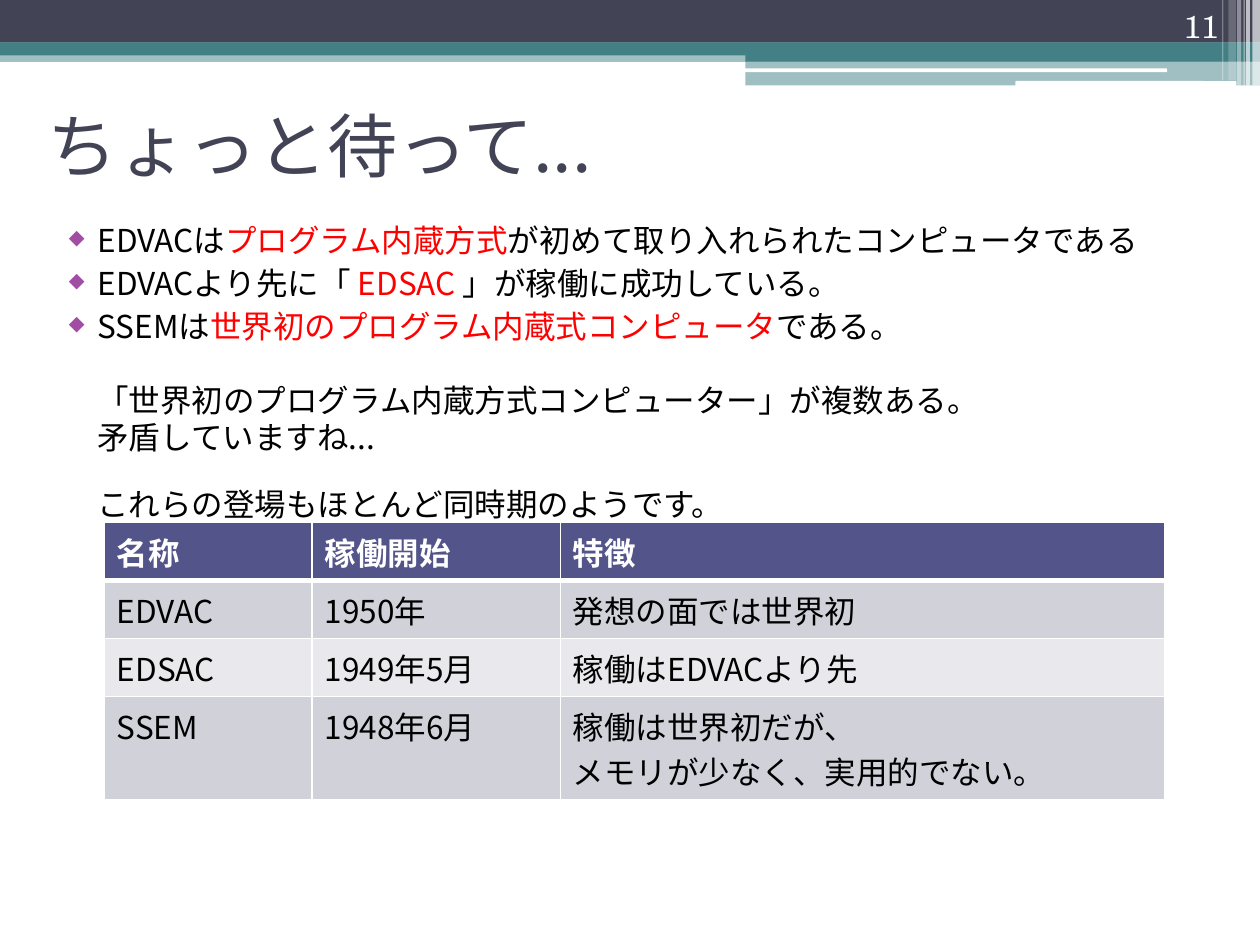
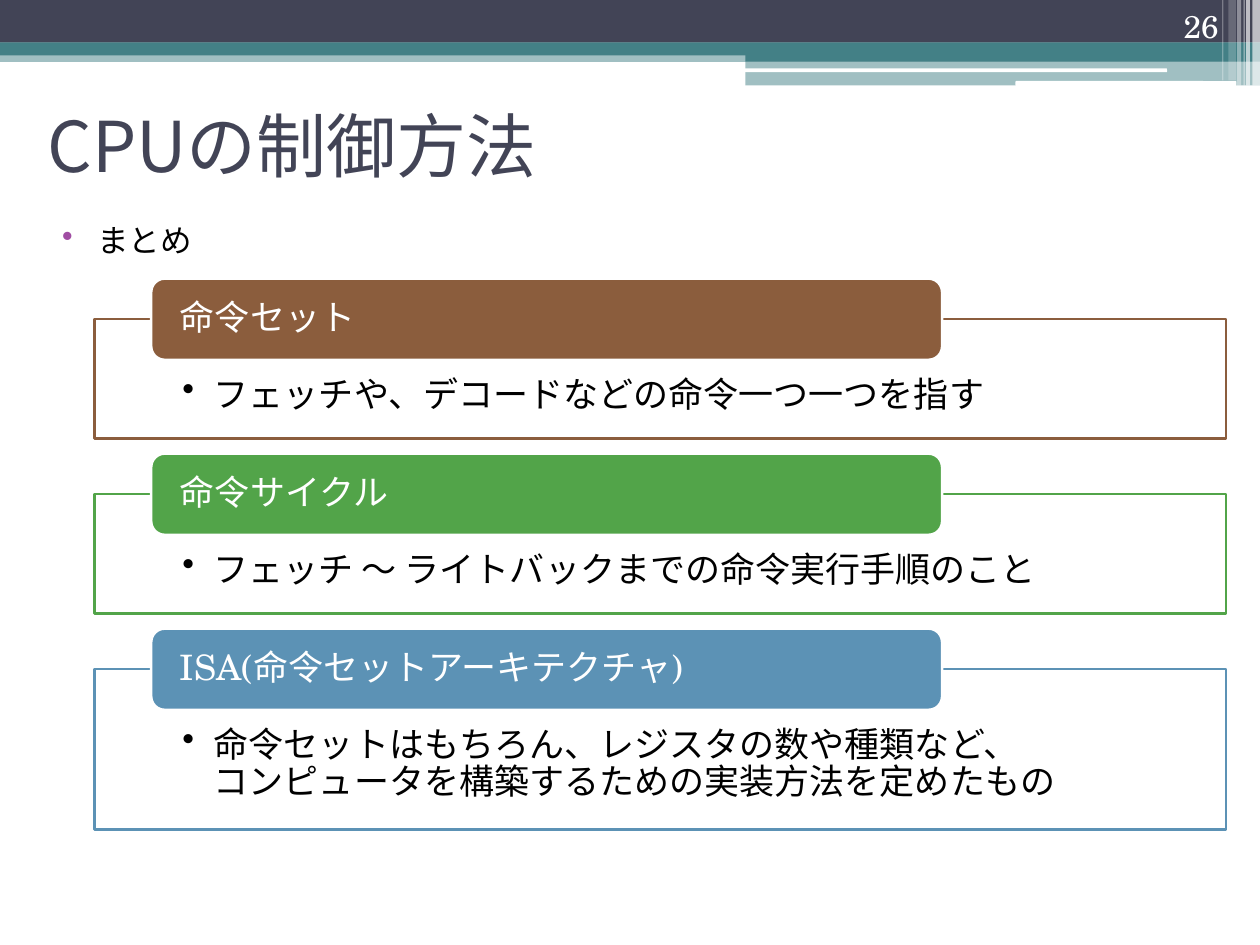
from lxml.etree import SubElement as Sub
from pptx import Presentation
from pptx.dml.color import RGBColor as Rgb
from pptx.enum.shapes import MSO_SHAPE as Form
from pptx.enum.text import MSO_ANCHOR as Anchor, PP_ALIGN as Align
from pptx.oxml.ns import qn
from pptx.util import Pt

HEX = {
    "ink": "000000", "paper": "FFFFFF", "navy": "424456", "teal": "438086",
    "red": "FF0000", "mark": "A04DA3", "head": "53548A", "dark": "D1D1DA",
    "light": "E9E9ED", "brown": "8B5D3D", "green": "52A449", "blue": "5C92B5",
}
SANS, SERIF = "Noto Sans CJK JP", "TeX Gyre Schola"

# Text formats: font values, plus the colour name
TITLE = {"name": SANS, "size": Pt(40), "tint": "navy"}
BODY = {"name": SANS, "size": Pt(18), "tint": "ink"}
HEAD = {**BODY, "bold": True, "tint": "paper"}
PAGE = {"name": SERIF, "size": Pt(18), "tint": "paper"}
LABEL = {**PAGE, "size": Pt(20)}
NOTE = {**LABEL, "tint": "ink"}

# Paragraph format of cards
TIGHT = {"line_spacing": 0.9, "alignment": Align.LEFT}

# Header bars: left, top, width, height, colour, opacity, form
BARS = [
    (0, 28.8, 720, 6.6, "teal", 50, Form.RECTANGLE),
    (0, 0, 720, 24.4, "navy", 100, Form.RECTANGLE),
    (0, 24.2, 720, 7.4, "teal", 100, Form.RECTANGLE),
    (426, 28.1, 294, 7, "teal", 100, Form.RECTANGLE),
    (426, 34.8, 294, 14, "teal", 50, Form.RECTANGLE),
    (425.5, 39.1, 241.4, 2.2, "paper", 100, Form.ROUNDED_RECTANGLE),
    (580.3, 46.3, 126.2, 2.8, "paper", 100, Form.ROUNDED_RECTANGLE),
]
# Pale stripes at the right: left, width, height, opacity
STRIPES = [
    (715.7, 4.3, 49, 65), (712.1, 2.2, 49, 65), (710.6, 0.7, 49, 60),
    (707, 2.2, 49, 40), (702, 4.3, 46, 20), (698.4, 0.7, 46, 30),
]


def tone(name):
    return Rgb.from_string(HEX[name])


def paint(shape, fill, alpha=100, line=None):
    shape.shadow.inherit = False
    shape.fill.solid()
    shape.fill.fore_color.rgb = tone(fill)
    if alpha < 100:
        clr = shape.fill._xPr.find(".//" + qn("a:srgbClr"))
        Sub(clr, qn("a:alpha"), val=str(alpha * 1000))
    if line:
        shape.line.color.rgb = tone(line)
        shape.line.width = Pt(1.5)
    else:
        shape.line.fill.background()


def block(slide, form, box, fill, alpha=100, line=None):
    shape = slide.shapes.add_shape(form, *map(Pt, box))
    paint(shape, fill, alpha, line)
    return shape


def style(run, fmt):
    for key, val in fmt.items():
        if key == "tint":
            run.font.color.rgb = tone(val)
        else:
            setattr(run.font, key, val)
    Sub(run._r.get_or_add_rPr(), qn("a:ea"), typeface=SANS)


def write(para, parts, fmt, look=None):
    """Fill a paragraph; each part is a text or a (text, colour) pair."""
    for key, val in (look or {}).items():
        setattr(para, key, val)
    for part in parts:
        text, tint = (part, fmt["tint"]) if isinstance(part, str) else part
        for num, row in enumerate(text.split("\n")):
            if num:
                para.add_line_break()
            run = para.add_run()
            run.text = row
            style(run, {**fmt, "tint": tint})


def indent(para, left, hang=0, sign=None, tint=None, size=100):
    ppr = para._p.get_or_add_pPr()
    ppr.set("marL", str(Pt(left)))
    ppr.set("indent", str(-Pt(hang)))
    if tint:
        clr = Sub(ppr, qn("a:buClr"))
        Sub(clr, qn("a:srgbClr"), val=HEX[tint])
    if sign:
        Sub(ppr, qn("a:buSzPct"), val=str(size * 1000))
        Sub(ppr, qn("a:buChar"), char=sign)


def setup(frame, anchor, pads=None):
    frame.word_wrap = True
    frame.vertical_anchor = anchor
    if pads:
        for side, pad in zip(("left", "top", "right", "bottom"), pads):
            setattr(frame, "margin_" + side, Pt(pad))
    return frame


def label(slide, box, text, fmt, anchor, align=Align.LEFT):
    frame = setup(slide.shapes.add_textbox(*map(Pt, box)).text_frame, anchor)
    write(frame.paragraphs[0], [text], fmt, {"alignment": align})


def base(deck, title, page):
    """New slide with header bars, title and page number."""
    slide = deck.slides.add_slide(deck.slide_layouts[6])
    for *box, fill, alpha, form in BARS:
        block(slide, form, box, fill, alpha)
    for left, wide, high, alpha in STRIPES:
        block(slide, Form.RECTANGLE, (left, 0, wide, high), "paper", alpha)
    label(slide, (20, 54, 680.4, 57), title, TITLE, Anchor.MIDDLE)
    label(slide, (643.7, 0, 59.8, 29.2), page, PAGE, Anchor.BOTTOM, Align.RIGHT)
    return slide


def body(slide, mark, items, tail=()):
    """Bulleted items, then plain lines given with the space above them."""
    box = slide.shapes.add_textbox(Pt(19.8), Pt(122.6), Pt(680.8), Pt(395))
    frame = setup(box.text_frame, Anchor.TOP)
    for num, parts in enumerate(items):
        para = frame.add_paragraph() if num else frame.paragraphs[0]
        write(para, parts, BODY, {"space_before": Pt(3)})
        indent(para, 28.8, **mark, tint="mark")
    for gap, text in tail:
        para = frame.add_paragraph()
        write(para, [text], BODY, {"space_before": Pt(gap)})
        indent(para, 28.8)


def edge(cell, widths):
    """White cell borders; widths by side."""
    tcp = cell._tc.get_or_add_tcPr()
    for side in "LRTB":
        line = Sub(tcp, qn("a:ln" + side), w=str(Pt(widths.get(side, 1))))
        fill = Sub(line, qn("a:solidFill"))
        Sub(fill, qn("a:srgbClr"), val=HEX["paper"])


def grid(slide, left, top, cols, rows, data):
    frame = slide.shapes.add_table(len(rows), len(cols), Pt(left), Pt(top),
                                   Pt(sum(cols)), Pt(sum(rows)))
    table = frame.table
    for col, wide in zip(table.columns, cols):
        col.width = Pt(wide)
    for row, high in zip(table.rows, rows):
        row.height = Pt(high)
    for num, texts in enumerate(data):
        fill = ("dark" if num % 2 else "light") if num else "head"
        for cell, text in zip(table.rows[num].cells, texts):
            edge(cell, {0: {"B": 3}, 1: {"T": 3}}.get(num, {}))
            cell.fill.solid()
            cell.fill.fore_color.rgb = tone(fill)
            write(cell.text_frame.paragraphs[0], [text], BODY if num else HEAD)


def card(slide, top, high, tint, name, text):
    """Framed note with a coloured name tab over its top edge."""
    note = block(slide, Form.RECTANGLE, (54, top, 646.6, high),
                 "paper", 90, tint)
    frame = setup(note.text_frame, Anchor.TOP, (50.2, 33.1, 50.2, 11.5))
    para = frame.paragraphs[0]
    write(para, [text], NOTE, TIGHT)
    indent(para, 18, 18, "•")
    tab = block(slide, Form.ROUNDED_RECTANGLE, (86.4, top - 23, 452, 46.5),
                tint, line="paper")
    frame = setup(tab.text_frame, Anchor.MIDDLE, (14.2, 0, 14.2, 0))
    write(frame.paragraphs[0], [name], LABEL, TIGHT)


def main():
    deck = Presentation()
    deck.slide_width, deck.slide_height = Pt(720), Pt(540)

    # First stored-program machines
    slide = base(deck, "ちょっと待って...", "11")
    body(slide, {"hang": 16.4, "sign": "◆", "size": 65}, [
        ["EDVACは", ("プログラム内蔵方式", "red"),
         "が初めて取り入れられたコンピュータである"],
        ["EDVACより先に「 ", ("EDSAC", "red"), " 」が稼働に成功している。"],
        ["SSEMは", ("世界初のプログラム内蔵式コンピュータ", "red"), "である。"],
    ], [
        (20.5, "「世界初のプログラム内蔵方式コンピューター」が複数ある。"),
        (0, "矛盾していますね..."),
        (16.5, "これらの登場もほとんど同時期のようです。"),
    ])
    grid(slide, 59.6, 298.4, (118.8, 141.8, 345.6), (33.2, 33.2, 33.2, 59), [
        ("名称", "稼働開始", "特徴"),
        ("EDVAC", "1950年", "発想の面では世界初"),
        ("EDSAC", "1949年5月", "稼働はEDVACより先"),
        ("SSEM", "1948年6月",
         "稼働は世界初だが、\nメモリが少なく、実用的でない。"),
    ])

    # CPU control summary
    slide = base(deck, "CPUの制御方法", "26")
    body(slide, {"hang": 20.2, "sign": "•"}, [["まとめ"]])
    cards = [
        (68.4, "brown", "命令セット",
         "フェッチや、デコードなどの命令一つ一つを指す"),
        (68.4, "green", "命令サイクル",
         "フェッチ ～ ライトバックまでの命令実行手順のこと"),
        (91.8, "blue", "ISA(命令セットアーキテクチャ)",
         "命令セットはもちろん、レジスタの数や種類など、\n"
         "コンピュータを構築するための実装方法を定めたもの"),
    ]
    for num, spec in enumerate(cards):
        card(slide, 182.2 + 100 * num, *spec)

    deck.save("out.pptx")


if __name__ == "__main__":
    main()
